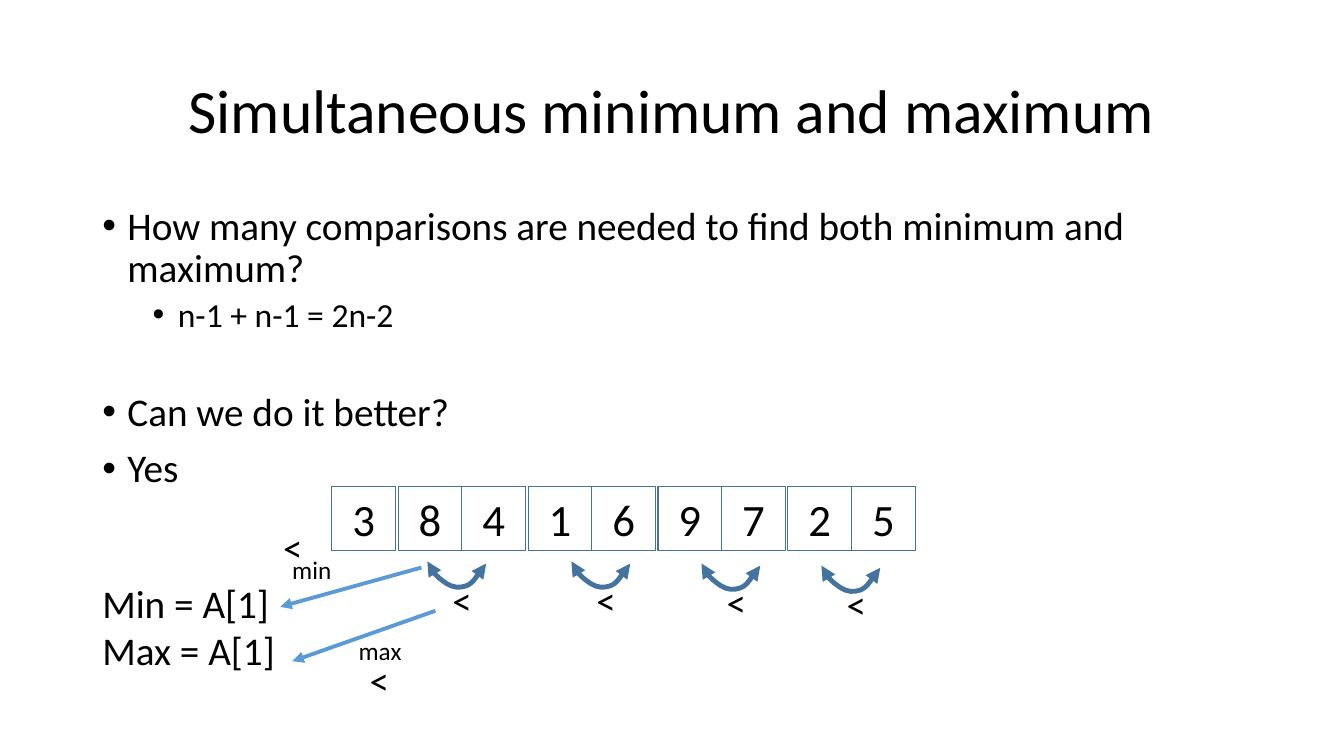
"""Slide on finding the minimum and maximum of a list together."""
from lxml.etree import SubElement as Sub
from pptx import Presentation
from pptx.dml.color import RGBColor as Rgb
from pptx.enum.shapes import MSO_CONNECTOR as Conn, MSO_SHAPE as Shape
from pptx.enum.text import MSO_ANCHOR as Anchor, PP_ALIGN as Align
from pptx.oxml.ns import qn
from pptx.util import Pt

INK = {"text": "000000", "edge": "43739E", "arrow": "5B9BD5"}


def write(box, lines, size, align=Align.LEFT, wrap=False):
    frame = box.text_frame
    frame.text = "\n".join(lines)
    frame.word_wrap = wrap
    for para in frame.paragraphs:
        para.alignment = align
        for run in para.runs:
            run.font.size = Pt(size)
            run.font.name = "Calibri"
            run.font.color.rgb = Rgb.from_string(INK["text"])
    return frame


def stroke(item, ink, width, ends=()):
    item.line.color.rgb = Rgb.from_string(INK[ink])
    item.line.width = Pt(width)
    for end in ends:
        Sub(item.line._get_or_add_ln(), qn("a:" + end), type="triangle")


deck = Presentation()
deck.slide_width, deck.slide_height = Pt(960), Pt(540)
slide = deck.slides.add_slide(deck.slide_layouts[6])
shapes = slide.shapes

title = shapes.add_textbox(Pt(66), Pt(28.8), Pt(828), Pt(104.4))
frame = write(title, ["Simultaneous minimum and maximum"], 44, Align.CENTER, True)
frame.vertical_anchor = Anchor.MIDDLE
frame.paragraphs[0].line_spacing = 0.9

points = [
    ("How many comparisons are needed to find both minimum and maximum?", 28, 18, 10),
    ("n-1 + n-1 = 2n-2", 24, 54, 5),
    ("Can we do it better?", 28, 18, 41.4),
    ("Yes", 28, 18, 10),
]
body = shapes.add_textbox(Pt(66), Pt(144), Pt(828), Pt(362))
frame = write(body, [point[0] for point in points], 28, wrap=True)
for para, (text, size, left, gap) in zip(frame.paragraphs, points):
    para.line_spacing = 0.9
    para.space_before = Pt(gap)
    para.runs[0].font.size = Pt(size)
    props = para._p.get_or_add_pPr()
    props.set("marL", str(Pt(left)))
    props.set("indent", str(Pt(-18)))
    Sub(props, qn("a:buFont"), typeface="Arial")
    Sub(props, qn("a:buChar"), char="•")

for i, digit in enumerate("384169725"):
    pair, side = divmod(i - 1, 2)
    left = 284.4 + 92.8 * pair + 45.5 * side
    cell = shapes.add_shape(Shape.RECTANGLE, Pt(left), Pt(347.4), Pt(45.5), Pt(46))
    cell.shadow.inherit = False
    cell.fill.background()
    stroke(cell, "edge", 0.75)
    write(cell, [digit], 32, Align.CENTER).vertical_anchor = Anchor.TOP

curve = [(-0.7, 4.5), (9.4, 13), (14, 16), (18.5, 18.8), (23, 19.2),
         (28, 17.4), (33, 15), (42, 1.6), (42, 1.6)]
arcs = [(305.3, 401), (408.2, 401), (501.1, 402.5), (586.8, 404)]
for left, top in arcs:
    pen = shapes.build_freeform(Pt(left), Pt(top))
    pen.add_line_segments([(Pt(left + x), Pt(top + y)) for x, y in curve], close=False)
    arc = pen.convert_to_shape()
    steps = list(arc._element.iter(qn("a:lnTo")))
    for i in range(0, len(steps), 3):
        bend = Sub(steps[i].getparent(), qn("a:cubicBezTo"))
        for step in steps[i:i + 3]:
            bend.append(step[0])
            step.getparent().remove(step)
    arc.shadow.inherit = False
    arc.fill.background()
    stroke(arc, "edge", 3.5, ["headEnd", "tailEnd"])

for ends in [(301, 405.4, 200.2, 433.4), (311, 436.3, 208.8, 472.3)]:
    arrow = shapes.add_connector(Conn.STRAIGHT, *map(Pt, ends))
    stroke(arrow, "arrow", 2.75, ["tailEnd"])
    Sub(arrow._element.spPr, qn("a:effectLst"))

less = [(left + 10.8, top + 7.2) for left, top in arcs] + [(257, 465.1), (195.1, 370.1)]
labels = [(["<"], 28, x, y, 28.8, 41) for x, y in less] + [
    (["Min = A[1]", "Max = A[1]"], 28, 66, 410.4, 138.2, 75),
    (["max"], 18, 249.1, 450, 45.4, 28.8),
    (["min"], 18, 201.6, 392.4, 42.5, 28.8),
]
for lines, size, *place in labels:
    write(shapes.add_textbox(*map(Pt, place)), lines, size)

deck.save("out.pptx")
